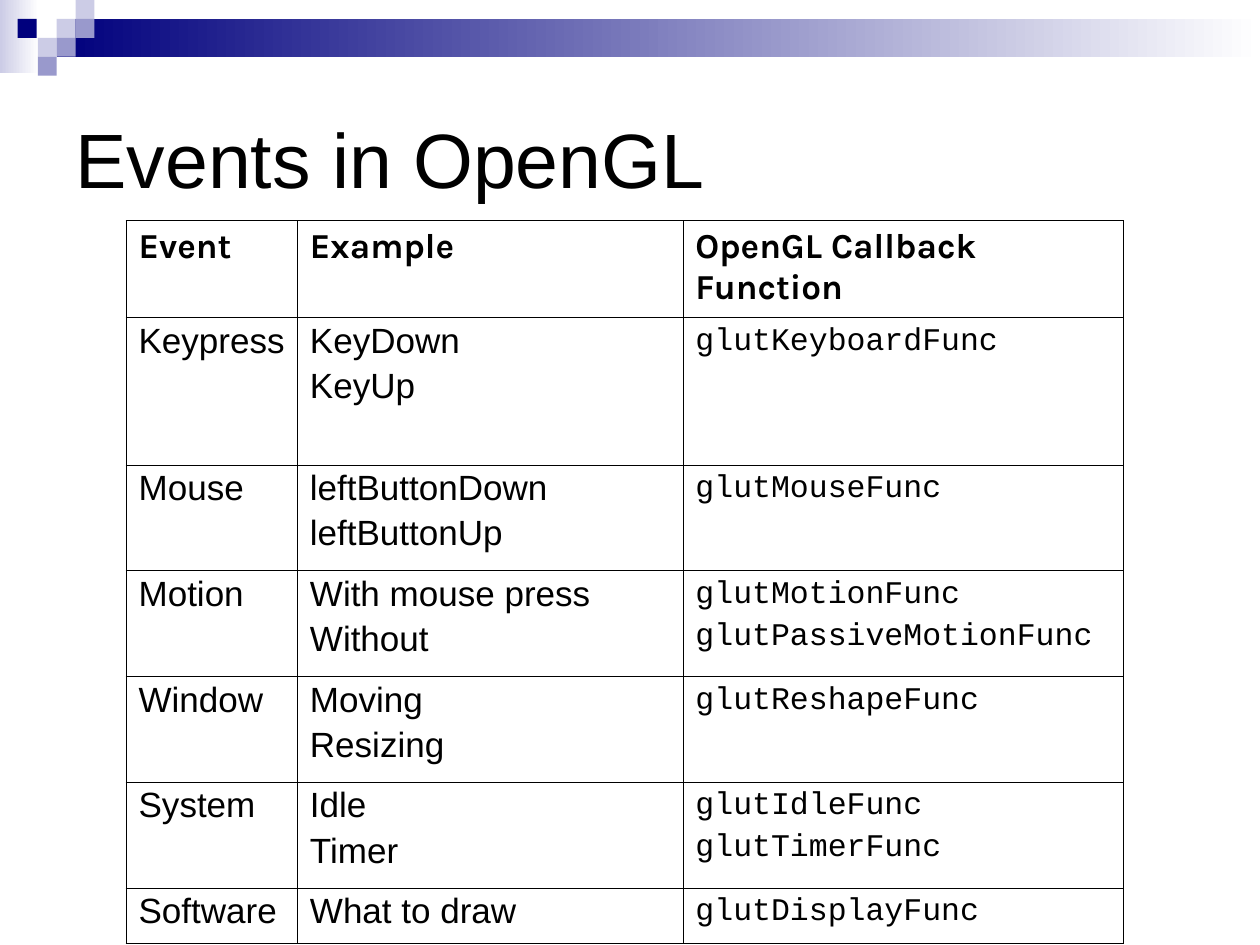
from lxml.etree import SubElement
from pptx import Presentation
from pptx.dml.color import RGBColor
from pptx.enum.shapes import MSO_SHAPE
from pptx.enum.text import MSO_ANCHOR, MSO_AUTO_SIZE, PP_ALIGN
from pptx.oxml.ns import qn
from pptx.util import Inches, Pt

NAVY = RGBColor(0x00, 0x00, 0x7D)
LAVENDER = RGBColor(0xCC, 0xCC, 0xE6)
PERIWINKLE = RGBColor(0x99, 0x99, 0xCC)
WHITE = RGBColor(0xFF, 0xFF, 0xFF)
BLACK = RGBColor(0x00, 0x00, 0x00)

GRID_COLS, GRID_ROWS = 200, 150
TILE = 3  # grid units per mosaic square

HEADER = dict(font="Karla", size=20, bold=True, line=0.98, before=5)
BODY = dict(font="Arial", size=20, line=0.94, before=5)
CODE = dict(font="Courier New", size=18, line=0.96, before=4.5)

MOSAIC = [
    (9, 3, LAVENDER), (12, 0, LAVENDER), (12, 3, PERIWINKLE), (6, 6, LAVENDER),
    (2.8, 3, NAVY), (9, 6, PERIWINKLE), (6, 9, PERIWINKLE),
]

EVENTS = [
    ("Event", "Example", "OpenGL Callback Function"),
    ("Keypress", "KeyDown\nKeyUp", "glutKeyboardFunc"),
    ("Mouse", "leftButtonDown\nleftButtonUp", "glutMouseFunc"),
    ("Motion", "With mouse press\nWithout", "glutMotionFunc\nglutPassiveMotionFunc"),
    ("Window", "Moving\nResizing", "glutReshapeFunc"),
    ("System", "Idle\nTimer", "glutIdleFunc\nglutTimerFunc"),
    ("Software", "What to draw", "glutDisplayFunc"),
]
COLUMN_WIDTHS = [27.2, 61.2, 70]
ROW_HEIGHTS = [15.4, 23.4] + [16.8] * 4 + [8.8]


def write(frame, text, font="Arial", size=20, bold=False, color=BLACK,
          line=None, before=0):
    """Fill a text frame, one paragraph for each line of text."""
    frame.word_wrap = True
    for index, content in enumerate(text.split("\n")):
        paragraph = frame.paragraphs[0] if index == 0 else frame.add_paragraph()
        paragraph.alignment = PP_ALIGN.LEFT
        paragraph.line_spacing = line
        paragraph.space_before = Pt(before if index else 0)
        run = paragraph.add_run()
        run.text = content
        run.font.name = font
        run.font.size = Pt(size)
        run.font.bold = bold
        run.font.color.rgb = color


def set_borders(cell, widths):
    """Draw the cell's borders; widths are points for left, right, top, bottom."""
    properties = cell._tc.get_or_add_tcPr()
    for side, width in zip(("L", "R", "T", "B"), widths):
        border = SubElement(properties, qn(f"a:ln{side}"), w=str(Pt(width)))
        fill = SubElement(border, qn("a:solidFill"))
        SubElement(fill, qn("a:srgbClr"), val=str(BLACK))


class SlideBuilder:
    """Places elements on one slide, measured in grid columns and rows."""

    outer_border = 0.5
    inner_border = 0.23

    def __init__(self, presentation):
        self.unit_x = presentation.slide_width / GRID_COLS
        self.unit_y = presentation.slide_height / GRID_ROWS
        self.slide = presentation.slides.add_slide(presentation.slide_layouts[5])

    def x(self, columns):
        return round(columns * self.unit_x)

    def y(self, rows):
        return round(rows * self.unit_y)

    def box(self, left, top, width, height):
        return self.x(left), self.y(top), self.x(width), self.y(height)

    def title(self, text, *area):
        title = self.slide.shapes.title
        title.left, title.top, title.width, title.height = self.box(*area)
        title.text_frame.auto_size = MSO_AUTO_SIZE.NONE
        title.text_frame.vertical_anchor = MSO_ANCHOR.MIDDLE
        write(title.text_frame, text, size=44)

    def block(self, color, *area, fade_to=None):
        block = self.slide.shapes.add_shape(MSO_SHAPE.RECTANGLE, *self.box(*area))
        block.shadow.inherit = False
        block.line.fill.background()
        if fade_to is None:
            block.fill.solid()
            block.fill.fore_color.rgb = color
        else:
            block.fill.gradient()
            block.fill.gradient_angle = 0
            for stop, stop_color in zip(block.fill.gradient_stops, (color, fade_to)):
                stop.color.rgb = stop_color

    def table(self, rows, left, top, widths, heights):
        area = self.box(left, top, sum(widths), sum(heights))
        table = self.slide.shapes.add_table(len(rows), len(widths), *area).table
        table.first_row = table.horz_banding = False
        for column, width in zip(table.columns, widths):
            column.width = self.x(width)
        for row, height in zip(table.rows, heights):
            row.height = self.y(height)
        last_row, last_column = len(rows) - 1, len(widths) - 1
        for r, texts in enumerate(rows):
            for c, text in enumerate(texts):
                cell = table.cell(r, c)
                on_edge = (c == 0, c == last_column, r == 0, r == last_row)
                set_borders(cell, [self.outer_border if edge else self.inner_border
                                   for edge in on_edge])
                cell.fill.background()
                style = HEADER if r == 0 else CODE if c == last_column else BODY
                write(cell.text_frame, text, **style)


def main():
    presentation = Presentation()
    presentation.slide_width, presentation.slide_height = Inches(10), Inches(7.5)
    builder = SlideBuilder(presentation)
    builder.block(LAVENDER, 0, 0, 6.2, 11.6, fade_to=WHITE)
    builder.block(NAVY, 9, 3, 191, 6, fade_to=WHITE)
    for left, top, color in MOSAIC:
        builder.block(color, left, top, TILE, TILE)
    builder.title("Events in OpenGL", 10, 10, 180, 30)
    builder.table(EVENTS, 20, 35, COLUMN_WIDTHS, ROW_HEIGHTS)
    presentation.save("out.pptx")


if __name__ == "__main__":
    main()
